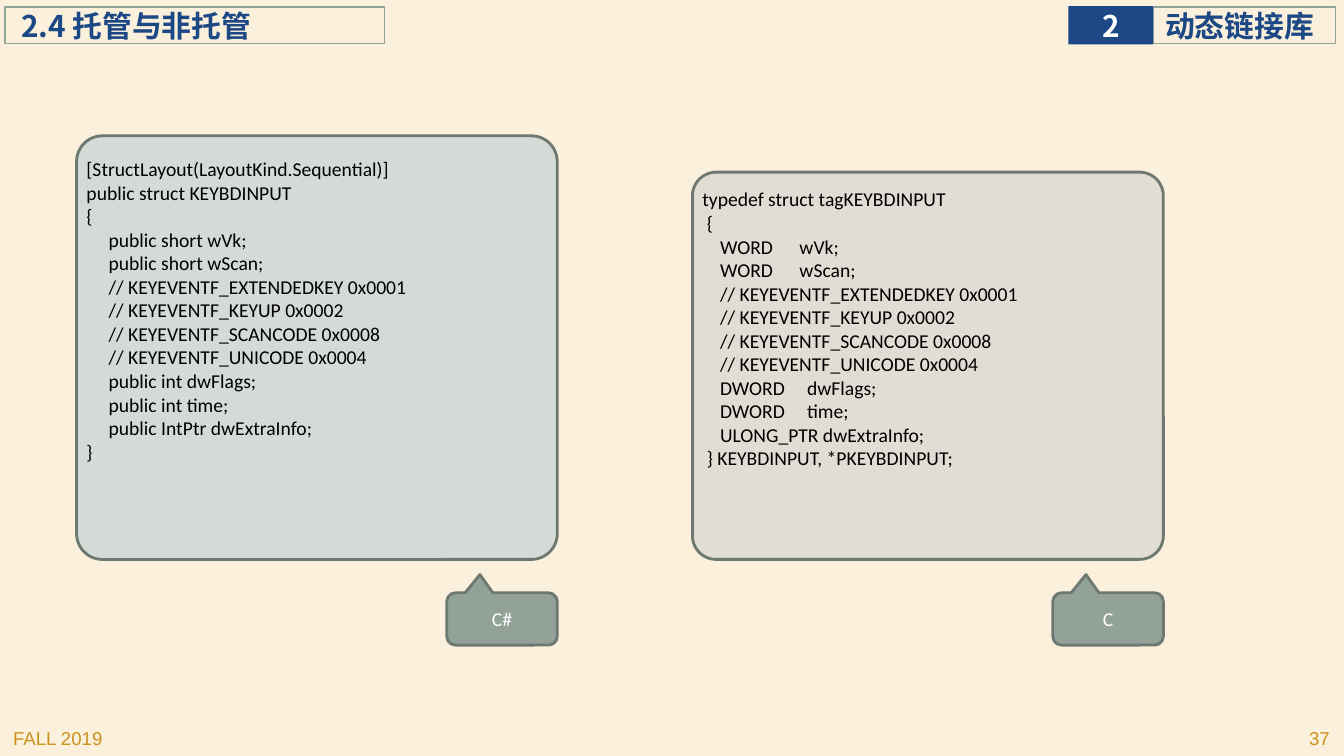
"""Build the slide comparing the C# and C declarations of KEYBDINPUT."""
import pptx
import pptx.dml.color
import pptx.enum.shapes
import pptx.enum.text
import pptx.oxml
import pptx.oxml.ns
import pptx.util

Pt = pptx.util.Pt
SHAPES = pptx.enum.shapes.MSO_SHAPE
ALIGN = pptx.enum.text.PP_ALIGN
ANCHOR = pptx.enum.text.MSO_ANCHOR

THEME = {
    "background": "FAF0DB", "navy": "1C4885", "gold": "CD921B", "sage": "93A299",
    "outline": "6D7871", "white": "FFFFFF", "black": "000000",
    "heading_font": "Noto Sans CJK SC", "footer_font": "Arial", "code_font": "Calibri",
    "heading_size": 21.3, "footer_size": 13.3, "code_size": 14,
}
SLIDE_WIDTH, SLIDE_HEIGHT = 960, 540

FOOTERS = [("FALL 2019", 2.2, ALIGN.LEFT), ("37", 756.7, ALIGN.RIGHT)]
HEADERS = [
    {"text": "动态链接库", "box": (823.7, 5, 130.3, 26), "inset": 8.64},
    {"text": "2", "box": (763.2, 4.3, 60.5, 27.4), "fill": "navy", "color": "white",
     "align": ALIGN.CENTER, "wrap": False},
    {"text": "2.4 托管与非托管", "box": (3.6, 5, 271.4, 26), "inset": 11.5},
]
FLAGS = [
    "\t// KEYEVENTF_EXTENDEDKEY 0x0001",
    "\t// KEYEVENTF_KEYUP 0x0002",
    "\t// KEYEVENTF_SCANCODE 0x0008",
    "\t// KEYEVENTF_UNICODE 0x0004",
]
PANELS = [
    {
        "language": "C#", "left": 54.7, "top": 97, "width": 343.4, "text_top": 108.7,
        "fill": "D4DAD6", "indent": 15.8,
        "code": ["[StructLayout(LayoutKind.Sequential)]", "public struct KEYBDINPUT", "{",
                 "\tpublic short wVk;", "\tpublic short wScan;", *FLAGS,
                 "\tpublic int dwFlags;", "\tpublic int time;",
                 "\tpublic IntPtr dwExtraInfo;", "}"],
    },
    {
        "language": "C", "left": 494.6, "top": 123, "width": 336.4, "text_top": 130.3,
        "fill": "E1DCD4", "indent": 12.65,
        "code": ["typedef struct tagKEYBDINPUT", " {", "\tWORD\twVk;", "\tWORD\twScan;",
                 *FLAGS, "\tDWORD\tdwFlags;", "\tDWORD\ttime;",
                 "\tULONG_PTR dwExtraInfo;", " } KEYBDINPUT, *PKEYBDINPUT;"],
    },
]
COLUMN_STOPS = {"\tWORD": 69.4, "\tDWORD": 74.8}
PANEL_BOTTOM = 399.6
CALLOUT_TOP, CALLOUT_WIDTH, CALLOUT_HEIGHT = 423.4, 79, 37.4


def rgb(name):
    return pptx.dml.color.RGBColor.from_string(THEME.get(name, name))


def add_box(slide, kind, box, fill=None, line=None, line_width=0.75, adjustments=()):
    shape = slide.shapes.add_shape(kind, *map(Pt, box))
    shape.shadow.inherit = False
    if fill:
        shape.fill.solid()
        shape.fill.fore_color.rgb = rgb(fill)
    else:
        shape.fill.background()
    if line:
        shape.line.color.rgb = rgb(line)
        shape.line.width = Pt(line_width)
    else:
        shape.line.fill.background()
    for index, value in enumerate(adjustments):
        shape.adjustments[index] = value
    return shape


def add_tab_stops(paragraph, stops):
    properties = paragraph._p.get_or_add_pPr()
    tab_list = pptx.oxml.parse_xml(f"<a:tabLst {pptx.oxml.ns.nsdecls('a')}/>")
    for stop in stops:
        tab = tab_list.makeelement(pptx.oxml.ns.qn("a:tab"), {"pos": str(Pt(stop)), "algn": "l"})
        tab_list.append(tab)
    properties.append(tab_list)


def write_text(shape, lines, style="code", color="black", align=ALIGN.LEFT,
               anchor=ANCHOR.TOP, insets=None, wrap=True, indent=0):
    frame = shape.text_frame
    frame.word_wrap = wrap
    frame.vertical_anchor = anchor
    if insets:
        (frame.margin_left, frame.margin_top,
         frame.margin_right, frame.margin_bottom) = map(Pt, insets)
    for index, line in enumerate(lines):
        paragraph = frame.add_paragraph() if index else frame.paragraphs[0]
        paragraph.alignment = align
        if line.startswith("\t"):
            column = line[:line.rfind("\t")]
            stops = [indent] + ([COLUMN_STOPS[column]] if column else [])
            add_tab_stops(paragraph, stops)
        run = paragraph.add_run()
        run.text = line
        run.font.name = THEME[f"{style}_font"]
        run.font.size = Pt(THEME[f"{style}_size"])
        run.font.bold = style == "heading"
        run.font.color.rgb = rgb(color)
        east_asian = pptx.oxml.parse_xml(
            f'<a:ea {pptx.oxml.ns.nsdecls("a")} typeface="{run.font.name}"/>')
        run.font._element.append(east_asian)


def add_panel(slide, panel):
    left, top, width = panel["left"], panel["top"], panel["width"]
    add_box(slide, SHAPES.ROUNDED_RECTANGLE, (left, top, width, PANEL_BOTTOM - top),
            panel["fill"], "outline", 2, [0.061])
    text_top = panel["text_top"]
    code_box = slide.shapes.add_textbox(
        *map(Pt, (left, text_top, width, PANEL_BOTTOM - text_top)))
    write_text(code_box, panel["code"], indent=panel["indent"])


def add_callout(slide, panel):
    left = panel["left"] + panel["width"] - CALLOUT_WIDTH
    callout = add_box(slide, SHAPES.ROUNDED_RECTANGULAR_CALLOUT,
                      (left, CALLOUT_TOP, CALLOUT_WIDTH, CALLOUT_HEIGHT),
                      "sage", "outline", 2, [-0.2, -0.848, 0.167])
    write_text(callout, [panel["language"]], color="white",
               align=ALIGN.CENTER, anchor=ANCHOR.MIDDLE)


def main():
    presentation = pptx.Presentation()
    presentation.slide_width, presentation.slide_height = Pt(SLIDE_WIDTH), Pt(SLIDE_HEIGHT)
    slide = presentation.slides.add_slide(presentation.slide_layouts[6])
    slide.background.fill.solid()
    slide.background.fill.fore_color.rgb = rgb("background")

    for text, left, align in FOOTERS:
        footer = slide.shapes.add_textbox(*map(Pt, (left, 515.5, 200.2, 22.3)))
        write_text(footer, [text], style="footer", color="gold", align=align)
    for header in HEADERS:
        fill = header.get("fill")
        shape = add_box(slide, SHAPES.RECTANGLE, header["box"], fill, None if fill else "sage")
        write_text(shape, [header["text"]], style="heading",
                   color=header.get("color", "navy"), align=header.get("align", ALIGN.LEFT),
                   anchor=ANCHOR.MIDDLE, insets=(header.get("inset", 0), 0, 0, 0),
                   wrap=header.get("wrap", True))
    for panel in PANELS:
        add_panel(slide, panel)
    for panel in PANELS:
        add_callout(slide, panel)
    presentation.save("out.pptx")


if __name__ == "__main__":
    main()
